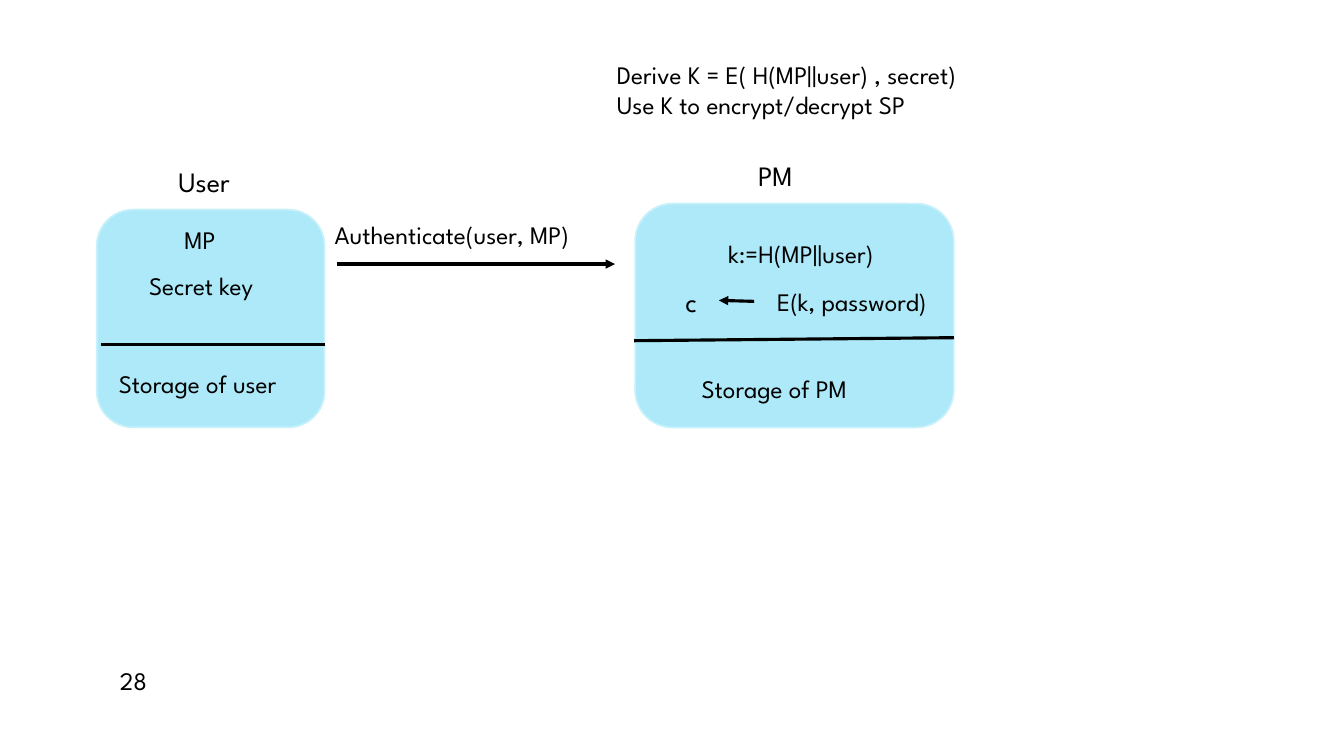
"""Builds a slide on how a user authenticates to a password manager (PM)."""
from dataclasses import dataclass

from lxml.etree import SubElement
from pptx import Presentation
from pptx.dml.color import RGBColor
from pptx.enum.shapes import MSO_CONNECTOR as Connector, MSO_SHAPE as Shape
from pptx.enum.text import MSO_AUTO_SIZE as AutoSize, PP_ALIGN as Align
from pptx.oxml.ns import qn
from pptx.util import Inches, Pt


def color(hex_code):
    return RGBColor.from_string(hex_code)


@dataclass
class Diagram:
    slide: object
    font: str = "League Spartan"
    ink: str = "000000"
    panel_fill: str = "ADE9F8"
    panel_edge: str = "C8F1FB"

    def panel(self, left, top, width, height):
        panel = self.slide.shapes.add_shape(
            Shape.ROUNDED_RECTANGLE, *map(Inches, (left, top, width, height)))
        panel.shadow.inherit = False
        panel.fill.solid()
        panel.fill.fore_color.rgb = color(self.panel_fill)
        panel.line.color.rgb = color(self.panel_edge)
        panel.line.width = Pt(1.25)

    def label(self, left, top, width, height, *lines, size=18, align=Align.LEFT):
        frame = self.slide.shapes.add_textbox(
            *map(Inches, (left, top, width, height))).text_frame
        frame.word_wrap = True
        frame.auto_size = AutoSize.SHAPE_TO_FIT_TEXT
        for index, line in enumerate(lines):
            paragraph = frame.add_paragraph() if index else frame.paragraphs[0]
            paragraph.alignment = align
            run = paragraph.add_run()
            run.text = line
            run.font.name = self.font
            run.font.size = Pt(size)
            run.font.color.rgb = color(self.ink)

    def line(self, start_x, start_y, end_x, end_y, arrow=False):
        line = self.slide.shapes.add_connector(
            Connector.STRAIGHT, *map(Inches, (start_x, start_y, end_x, end_y)))
        line.line.color.rgb = color(self.ink)
        line.line.width = Pt(2.25)
        if arrow:
            SubElement(line.line._get_or_add_ln(), qn("a:tailEnd"), type="triangle")
        SubElement(line._element.spPr, qn("a:effectLst"))


def main():
    deck = Presentation()
    deck.slide_width, deck.slide_height = Inches(13.33), Inches(7.5)
    diagram = Diagram(deck.slides.add_slide(deck.slide_layouts[6]))

    diagram.label(1.67, 1.58, 0.84, 0.44, "User", size=20)
    diagram.panel(0.96, 2.08, 2.26, 2.16)
    diagram.label(1.73, 2.18, 3, 0.4, "MP")
    diagram.label(1.38, 2.63, 3, 0.4, "Secret key")
    diagram.line(1, 3.42, 3.22, 3.42)
    diagram.label(1.08, 3.6, 2.9, 0.42, "Storage of user")

    diagram.label(3.22, 2.13, 3.32, 0.4, "Authenticate(user, MP)")
    diagram.line(3.34, 2.62, 6.1, 2.62, arrow=True)

    diagram.label(6.02, 0.54, 5.96, 0.71,
                  "Derive K = E( H(MP||user) , secret)",
                  "Use K to encrypt/decrypt SP")
    diagram.label(7.42, 1.52, 0.84, 0.44, "PM", size=20)
    diagram.panel(6.3, 2.02, 3.16, 2.22)
    diagram.label(6.73, 2.32, 2.43, 0.4, "k:=H(MP||user)", align=Align.CENTER)
    diagram.label(6.7, 2.77, 0.43, 0.44, "c", size=20)
    diagram.line(7.48, 2.99, 7.13, 2.98, arrow=True)
    diagram.label(7.43, 2.79, 2.04, 0.4, "E(k, password)", align=Align.CENTER)
    diagram.line(6.29, 3.38, 9.46, 3.35)
    diagram.label(6.86, 3.65, 2.9, 0.42, "Storage of PM")

    diagram.label(1.09, 6.55, 3, 0.4, "28")
    deck.save("out.pptx")


if __name__ == "__main__":
    main()
